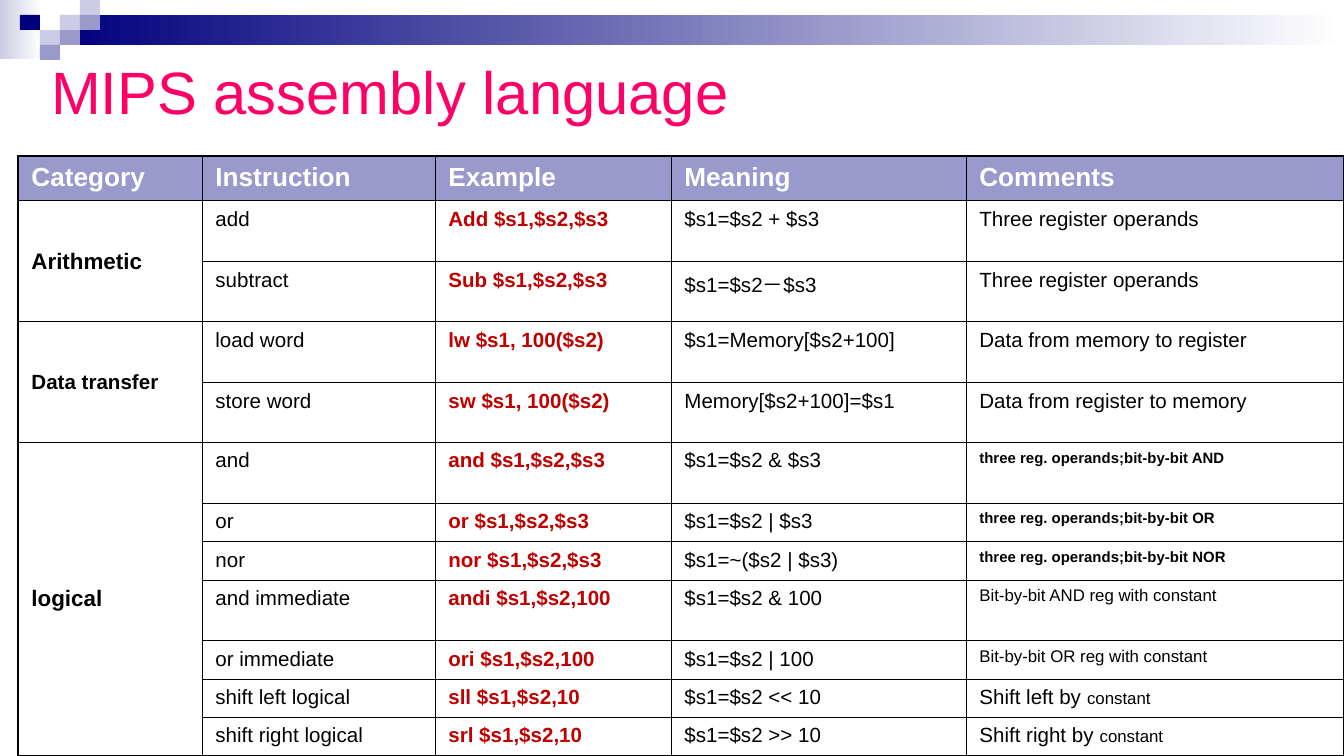
from lxml import etree
from pptx import Presentation
from pptx.dml.color import RGBColor
from pptx.enum.shapes import MSO_SHAPE
from pptx.enum.text import MSO_ANCHOR
from pptx.oxml.ns import qn
from pptx.util import Inches, Pt

RECT = MSO_SHAPE.RECTANGLE
MIDDLE = MSO_ANCHOR.MIDDLE
TOP = MSO_ANCHOR.TOP

WIDTH, HEIGHT = 1344, 756
SCALE = Inches(10) / WIDTH
FONT = "Arial"
COLORS = {
    "navy": "00007D", "mid": "9999CC", "pale": "CCCCE6", "white": "FFFFFF",
    "pink": "FF0066", "red": "C00000", "black": "000000",
}
THIN, THICK = 0.45, 1.47

COLS = [184, 233, 236, 295, 378]
ROWS = [42, 61, 60, 61, 60, 61, 36, 36, 61, 36, 36, 37]
HEADS = ["Category", "Instruction", "Example", "Meaning", "Comments"]
# Category: label, size, number of rows
GROUPS = [("Arithmetic", 12, 2), ("Data transfer", 11, 2), ("logical", 12, 7)]
# Instruction, example, meaning, then comment as (text, size) runs
BODY = [
    ("add", "Add $s1,$s2,$s3", "$s1=$s2 + $s3", [("Three register operands", 11)]),
    ("subtract", "Sub $s1,$s2,$s3", "$s1=$s2－$s3", [("Three register operands", 11)]),
    ("load word", "lw $s1, 100($s2)", "$s1=Memory[$s2+100]",
     [("Data from memory to register", 11)]),
    ("store word", "sw $s1, 100($s2)", "Memory[$s2+100]=$s1",
     [("Data from register to memory", 11)]),
    ("and", "and $s1,$s2,$s3", "$s1=$s2 & $s3",
     [("three reg. operands;bit-by-bit AND", 8)]),
    ("or", "or $s1,$s2,$s3", "$s1=$s2 | $s3",
     [("three reg. operands;bit-by-bit OR", 8)]),
    ("nor", "nor $s1,$s2,$s3", "$s1=~($s2 | $s3)",
     [("three reg. operands;bit-by-bit NOR", 8)]),
    ("and immediate", "andi $s1,$s2,100", "$s1=$s2 & 100",
     [("Bit-by-bit AND reg with constant", 9)]),
    ("or immediate", "ori $s1,$s2,100", "$s1=$s2 | 100",
     [("Bit-by-bit OR reg with constant", 9)]),
    ("shift left logical", "sll $s1,$s2,10", "$s1=$s2 << 10",
     [("Shift left by ", 11), ("constant", 9)]),
    ("shift right logical", "srl $s1,$s2,10", "$s1=$s2 >> 10",
     [("Shift right by ", 11), ("constant", 9)]),
]


def px(num):
    return round(num * SCALE)


def rgb(name):
    return RGBColor.from_string(COLORS[name])


def write(frame, runs, color, bold=False):
    para = frame.paragraphs[0]
    font = para.font
    font.name, font.bold = FONT, bold
    font.color.rgb = rgb(color)
    font.size = Pt(runs[0][1])
    for text, size in runs:
        run = para.add_run()
        run.text = text
        if size != runs[0][1]:
            run.font.size = Pt(size)


def block(slide, box, start, end=None):
    shape = slide.shapes.add_shape(RECT, *map(px, box))
    shape.shadow.inherit = False
    shape.line.fill.background()
    if end:
        shape.fill.gradient()
        shape.fill.gradient_angle = 0
        for stop, name in zip(shape.fill.gradient_stops, (start, end)):
            stop.color.rgb = rgb(name)
    else:
        shape.fill.solid()
        shape.fill.fore_color.rgb = rgb(start)


def banner(slide, left, top, width):
    # Fading bands
    block(slide, (left, top, 42, 59), "pale", "white")
    block(slide, (left + 60, top + 15, width - 60, 30), "navy", "white")
    # Squares on a grid: column, row, color
    wide, high = 20, 15
    for col, row, name in [
        (3, 1, "pale"), (4, 0, "pale"), (4, 1, "mid"), (2, 2, "pale"),
        (1, 1, "navy"), (3, 2, "mid"), (2, 3, "mid"),
    ]:
        block(slide, (left + col * wide, top + row * high, wide, high), name)


def title(slide, left, top, width, height):
    frame = slide.shapes.add_textbox(*map(px, (left, top, width, height))).text_frame
    frame.word_wrap = True
    frame.vertical_anchor = MIDDLE
    write(frame, [("MIPS assembly language", 32)], "pink")


def border(cell, widths):
    props = cell._tc.get_or_add_tcPr()
    for side, width in zip("LRTB", widths):
        line = etree.SubElement(props, qn("a:ln" + side), w=str(Pt(width)))
        fill = etree.SubElement(line, qn("a:solidFill"))
        etree.SubElement(fill, qn("a:srgbClr"), val=COLORS["black"])


def put(cell, runs, color, bold=False, anchor=TOP):
    cell.vertical_anchor = anchor
    write(cell.text_frame, runs, color, bold)


def grid(slide, left, top):
    box = (left, top, sum(COLS), sum(ROWS))
    table = slide.shapes.add_table(len(ROWS), len(COLS), *map(px, box)).table
    table.first_row = table.horz_banding = False
    for col, width in zip(table.columns, COLS):
        col.width = px(width)
    for row, height in zip(table.rows, ROWS):
        row.height = px(height)

    # Borders and fills
    last = len(COLS) - 1
    for r in range(len(ROWS)):
        for c in range(len(COLS)):
            cell = table.cell(r, c)
            edges = (c == 0, c == last, r == 0, False)
            border(cell, [THICK if edge else THIN for edge in edges])
            if r == 0:
                cell.fill.solid()
                cell.fill.fore_color.rgb = rgb("mid")
            else:
                cell.fill.background()

    # Header row
    for c, head in enumerate(HEADS):
        put(table.cell(0, c), [(head, 14)], "white", True)

    # Merged categories
    first = 1
    for label, size, count in GROUPS:
        cell = table.cell(first, 0)
        cell.merge(table.cell(first + count - 1, 0))
        put(cell, [(label, size)], "black", True, MIDDLE)
        first += count

    # Instruction rows
    for r, (name, code, sense, note) in enumerate(BODY, 1):
        put(table.cell(r, 1), [(name, 11)], "black")
        put(table.cell(r, 2), [(code, 11)], "red", True)
        put(table.cell(r, 3), [(sense, 11)], "black")
        put(table.cell(r, 4), note, "black", note[0][1] == 8)


def main():
    deck = Presentation()
    deck.slide_width, deck.slide_height = px(WIDTH), px(HEIGHT)
    slide = deck.slides.add_slide(deck.slide_layouts[6])
    banner(slide, 0, 0, WIDTH)
    title(slide, 38, 65, 1255, 52)
    grid(slide, 18, 156)
    deck.save("out.pptx")


if __name__ == "__main__":
    main()
